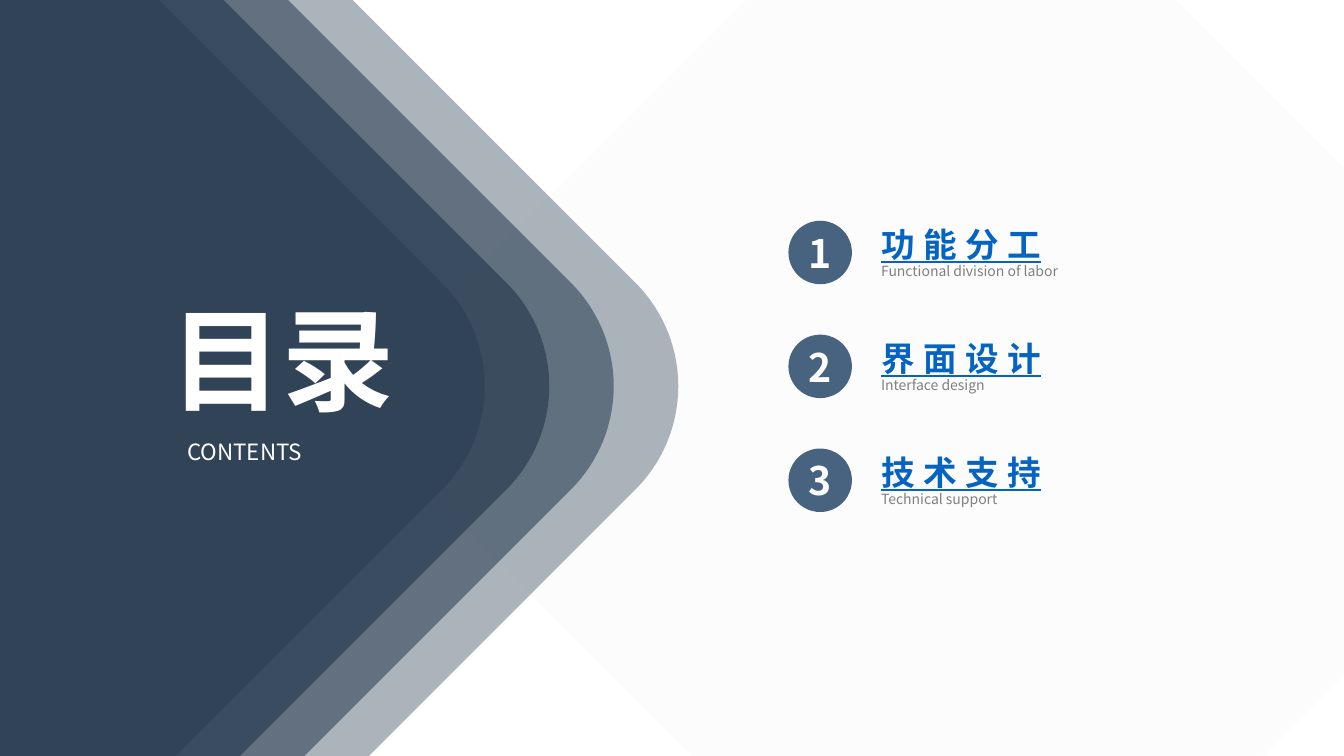
from pptx import Presentation
from pptx.dml.color import RGBColor
from pptx.enum.shapes import MSO_SHAPE as Shape
from pptx.enum.text import MSO_ANCHOR as Anchor, MSO_AUTO_SIZE as AutoSize, PP_ALIGN as Align
from pptx.oxml.ns import qn
from pptx.util import Pt
from lxml.etree import SubElement

EMU_PER_PX = 9144  # 100 px to the inch
FONT = "Noto Sans CJK SC"
COLORS = {
    "white": "FFFFFF",
    "pale": "F2F2F2",
    "navy": "314457",
    "steel": "48637F",
    "link": "0563C1",
    "gray": "808080",
}
CHAPTERS = [
    ("功能分工", "Functional division of labor"),
    ("界面设计", "Interface design"),
    ("技术支持", "Technical support"),
]


class SlideBuilder:
    def __init__(self, presentation):
        self.slide = presentation.slides.add_slide(presentation.slide_layouts[6])

    def color(self, name):
        return RGBColor.from_string(COLORS[name])

    def box(self, *lengths):
        return [length * EMU_PER_PX for length in lengths]

    def shape(self, kind, bounds, fill, opacity=100):
        shape = self.slide.shapes.add_shape(kind, *self.box(*bounds))
        shape.shadow.inherit = False
        shape.fill.solid()
        shape.fill.fore_color.rgb = self.color(fill)
        shape.line.fill.background()
        if opacity < 100:
            color = shape.element.spPr.find(".//" + qn("a:srgbClr"))
            SubElement(color, qn("a:alpha"), val=str(opacity * 1000))
        return shape

    def diamond(self, left, top, fill, opacity):
        shape = self.shape(Shape.ROUNDED_RECTANGLE, (left, top, 893, 870), fill, opacity)
        shape.rotation = 45

    def add_run(self, shape, text, size, color, align=Align.LEFT, spacing=0, **styles):
        """Put one styled run into a shape; spacing is in points."""
        paragraph = shape.text_frame.paragraphs[0]
        paragraph.alignment = align
        run = paragraph.add_run()
        run.text = text
        run.font.color.rgb = self.color(color)
        for name, value in {"name": FONT, "size": Pt(size), **styles}.items():
            setattr(run.font, name, value)
        properties = run._r.get_or_add_rPr()
        SubElement(properties, qn("a:ea"), typeface=FONT)
        if spacing:
            properties.set("spc", str(spacing * 100))

    def text(self, bounds, text, size, color, wrap=True, **styles):
        shape = self.slide.shapes.add_textbox(*self.box(*bounds))
        shape.text_frame.word_wrap = wrap
        shape.text_frame.auto_size = AutoSize.SHAPE_TO_FIT_TEXT
        self.add_run(shape, text, size, color, **styles)

    def badge(self, bounds, text):
        shape = self.shape(Shape.OVAL, bounds, "steel")
        frame = shape.text_frame
        frame.vertical_anchor = Anchor.MIDDLE
        frame.margin_left = frame.margin_right = 0
        self.add_run(shape, text, 28, "white", align=Align.CENTER, bold=True)

    def chapter(self, number, top, title, subtitle):
        self.badge((782, top, 63, 63), str(number))
        self.text((864, top + 37, 412, 27), subtitle, 10, "gray")
        self.text((864, top - 2, 187, 50), title, 24, "link", wrap=False,
                  spacing=6, bold=True, underline=True)


def main():
    presentation = Presentation()
    presentation.slide_width = 1333 * EMU_PER_PX
    presentation.slide_height = 750 * EMU_PER_PX
    builder = SlideBuilder(presentation)

    builder.diamond(515, -25, "pale", 20)
    for step, opacity in enumerate((40, 60, 80, 100)):
        builder.diamond(-337 - 64 * step, -60, "navy", opacity)

    builder.text((150, 283, 260, 145), "目录", 80, "white", align=Align.CENTER, bold=True)
    builder.text((176, 430, 208, 37), "CONTENTS", 16, "white", align=Align.JUSTIFY)

    for index, (title, subtitle) in enumerate(CHAPTERS):
        builder.chapter(index + 1, 219 + 113 * index, title, subtitle)

    presentation.save("out.pptx")


if __name__ == "__main__":
    main()
